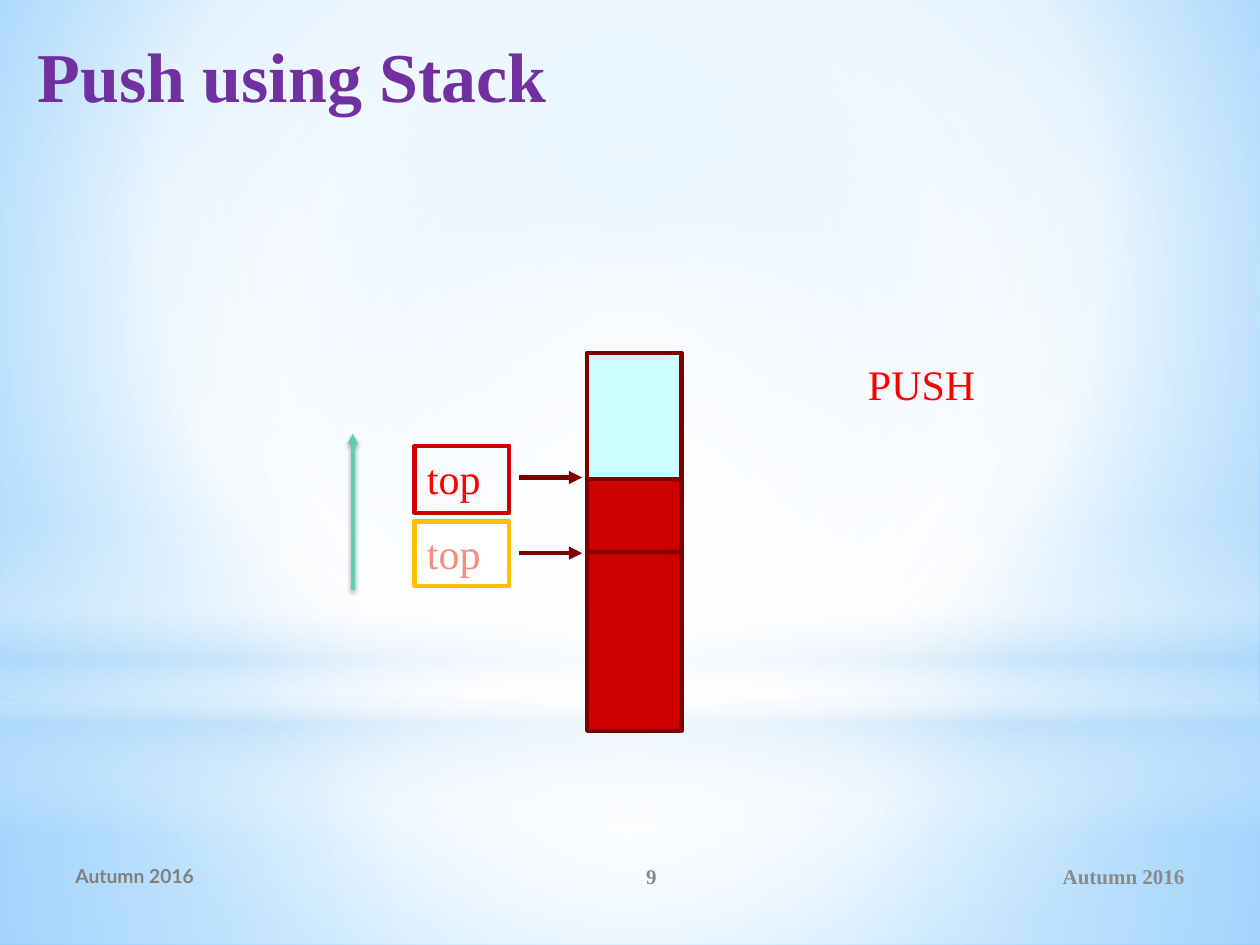
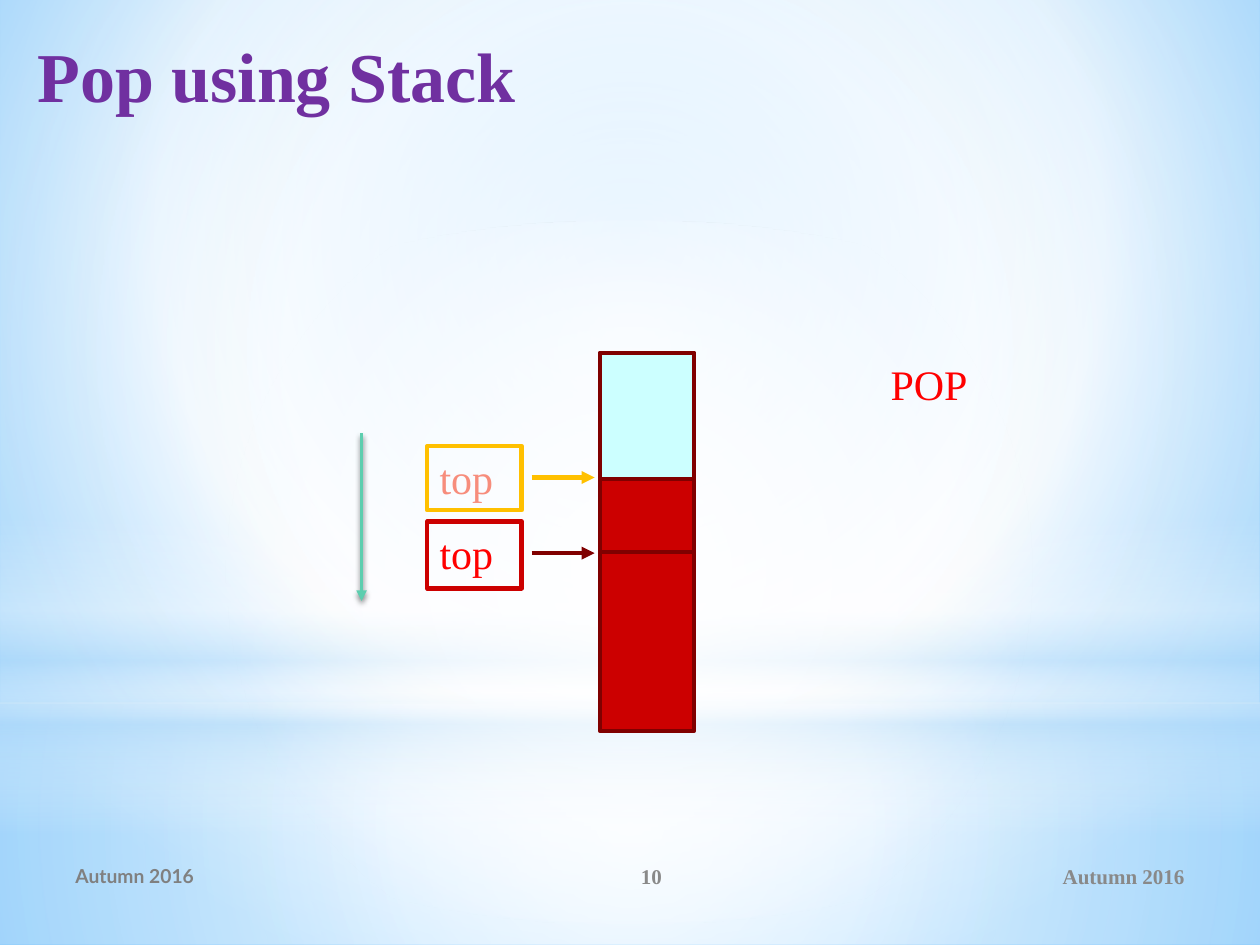
from dataclasses import dataclass

from lxml import etree
from pptx import Presentation
from pptx import util as u
from pptx.dml.color import RGBColor
from pptx.enum import shapes, text
from pptx.oxml.ns import qn

RECTANGLE = shapes.MSO_SHAPE.RECTANGLE
OVAL = shapes.MSO_SHAPE.OVAL
ALIGN = text.PP_ALIGN


@dataclass(frozen=True)
class Theme:
    serif: str = "Times New Roman"
    sans: str = "Lato"
    title: str = "7030A0"
    footer: str = "898989"
    date: str = "808080"
    active: str = "FF0000"
    faded: str = "F78D7C"
    filled: str = "CC0000"
    empty: str = "CCFFFF"
    edge: str = "800000"
    old_edge: str = "FFC000"
    direction: str = "5DCEAF"
    white: str = "FFFFFF"
    sky: str = "B4DCFA"
    title_size: int = 40
    label_size: int = 24
    footer_size: int = 12
    date_size: int = 11
    edge_width: float = 2.5
    direction_width: float = 2


THEME = Theme()
CENTRE = (50, 50, 50, 50)


@dataclass(frozen=True)
class Operation:
    """What differs between the push slide and the pop slide."""
    title: str
    label: str
    number: str
    label_box: tuple
    stack_left: float
    direction: tuple
    upper_is_current: bool


def add_xml(parent, tag, **attributes):
    return etree.SubElement(parent, qn(tag), {key: str(value) for key, value in attributes.items()})


def set_gradient(fill, properties, stops, focus=None, angle=None):
    """Fill with (position, colour, opacity) stops, round a focus or along an angle."""
    fill.solid()
    solid = properties.find(qn("a:solidFill"))
    gradient = etree.Element(qn("a:gradFill"), rotWithShape="1")
    stop_list = add_xml(gradient, "a:gsLst")
    for position, colour, opacity in stops:
        stop = add_xml(stop_list, "a:gs", pos=position * 1000)
        stop_colour = add_xml(stop, "a:srgbClr", val=colour)
        if opacity < 100:
            add_xml(stop_colour, "a:alpha", val=opacity * 1000)
    if focus:
        circle = add_xml(gradient, "a:path", path="circle")
        sides = {side: share * 1000 for side, share in zip("ltrb", focus)}
        add_xml(circle, "a:fillToRect", **sides)
    else:
        add_xml(gradient, "a:lin", ang=angle * 60000, scaled=0)
    properties.replace(solid, gradient)


def write(shape, words, size=THEME.label_size, font=THEME.serif, colour=THEME.active,
          bold=False, align=ALIGN.LEFT, anchor=text.MSO_ANCHOR.TOP, wrap=True):
    frame = shape.text_frame
    frame.word_wrap = wrap
    frame.vertical_anchor = anchor
    paragraph = frame.paragraphs[0]
    paragraph.alignment = align
    run = paragraph.add_run()
    run.text = words
    run.font.size = u.Pt(size)
    run.font.name = font
    run.font.bold = bold
    run.font.color.rgb = RGBColor.from_string(colour)


def add_text(slide, box, words, **format):
    write(slide.shapes.add_textbox(*map(u.Inches, box)), words, **format)


def add_box(slide, box, fill=None, line=None, kind=RECTANGLE):
    shape = slide.shapes.add_shape(kind, *map(u.Inches, box))
    shape.shadow.inherit = False
    if fill:
        shape.fill.solid()
        shape.fill.fore_color.rgb = RGBColor.from_string(fill)
    else:
        shape.fill.background()
    if line:
        shape.line.color.rgb = RGBColor.from_string(line)
        shape.line.width = u.Pt(THEME.edge_width)
    else:
        shape.line.fill.background()
    return shape


def add_arrow(slide, start, end, colour, width=THEME.edge_width, shadow=False):
    arrow = slide.shapes.add_connector(
        shapes.MSO_CONNECTOR.STRAIGHT, *map(u.Inches, (*start, *end)))
    arrow.line.color.rgb = RGBColor.from_string(colour)
    arrow.line.width = u.Pt(width)
    properties = arrow.element.spPr
    add_xml(properties.find(qn("a:ln")), "a:tailEnd", type="triangle")
    effects = add_xml(properties, "a:effectLst")
    if shadow:
        outer = add_xml(effects, "a:outerShdw", blurRad=u.Pt(3.1), dist=u.Pt(1.8),
                        dir=90 * 60000, rotWithShape=0)
        add_xml(add_xml(outer, "a:srgbClr", val="000000"), "a:alpha", val=45000)


def set_background(master):
    fill = master.background.fill
    fill.solid()
    set_gradient(fill, master.element.find(f".//{qn('p:bgPr')}"),
                 [(0, "9ED5FF", 100), (60, THEME.white, 100), (100, "5BB9FF", 100)],
                 focus=(20, 10, 20, 60))


def add_backdrop(slide, width=10, height=7.5):
    """Sky, floor, horizon band and the glow over them."""
    white, sky = THEME.white, THEME.sky
    horizon = 5.58
    layers = [
        (RECTANGLE, (0, horizon, width, height - horizon),
         [(0, white, 91), (37, white, 76), (100, sky, 79)], {"focus": CENTRE}),
        (RECTANGLE, (0, 0, width, horizon),
         [(0, white, 89), (48, white, 62), (100, sky, 79)], {"focus": CENTRE}),
        (RECTANGLE, (0, 4.12, width, 2.5),
         [(0, white, 0), (29, white, 30), (45, sky, 40), (55, white, 26),
          (65, sky, 60), (100, white, 0)], {"angle": 90}),
        (OVAL, (0, 1.75, width, horizon),
         [(0, white, 100), (56, white, 0)], {"focus": CENTRE}),
    ]
    for kind, box, stops, shading in layers:
        layer = add_box(slide, box, kind=kind)
        set_gradient(layer.fill, layer.element.spPr, stops, **shading)


def add_footer(slide, number, top=6.75, height=0.4):
    style = dict(size=THEME.footer_size, colour=THEME.footer, bold=True,
                 anchor=text.MSO_ANCHOR.MIDDLE)
    date_style = {**style, "size": THEME.date_size, "font": THEME.sans, "colour": THEME.date}
    add_text(slide, (6.75, top, 2.75, height), "Autumn 2016", align=ALIGN.RIGHT, **style)
    add_text(slide, (0.5, top, 3.67, height), "Autumn 2016", **date_style)
    add_text(slide, (4.17, top, 2, height), number, align=ALIGN.CENTER, **style)


def add_pointer(slide, left, top, current, fill=None, arrow_colour=THEME.edge):
    """A "top" label with an arrow to the stack; the current one is in full red."""
    label = add_box(slide, (left, top, 0.75, 0.53 if current else 0.51), fill,
                    THEME.filled if current else THEME.old_edge)
    write(label, "top", colour=THEME.active if current else THEME.faded)
    arrow_y = top + 0.25
    add_arrow(slide, (left + 0.83, arrow_y), (left + 1.33, arrow_y), arrow_colour)


def add_stack(slide, left, top, upper_is_current):
    """The stack, with pointers before and after the operation to its left."""
    width, empty_height, filled_height, moved_height = 0.75, 1.58, 1.42, 0.58
    middle = top + empty_height
    add_box(slide, (left, middle, width, filled_height), THEME.filled, THEME.edge)
    add_box(slide, (left, top, width, empty_height), THEME.empty, THEME.edge)
    pointer_left, upper_top, pointer_step = left - 1.37, top + 0.74, 0.6
    add_pointer(slide, pointer_left, upper_top + pointer_step, not upper_is_current,
                fill=THEME.white if upper_is_current else None)
    add_pointer(slide, pointer_left, upper_top, upper_is_current,
                arrow_colour=THEME.edge if upper_is_current else THEME.old_edge)
    add_box(slide, (left, middle - moved_height, width, moved_height),
            THEME.filled, THEME.edge)


def add_operation_slide(presentation, operation):
    slide = presentation.slides.add_slide(presentation.slide_layouts[6])
    add_backdrop(slide)
    add_footer(slide, operation.number)
    add_stack(slide, operation.stack_left, 2.8, operation.upper_is_current)
    add_text(slide, operation.label_box, operation.label, wrap=False)
    add_text(slide, (0.2, 0.21, 9.53, 1.25), operation.title,
             size=THEME.title_size, colour=THEME.title, bold=True)
    add_arrow(slide, *operation.direction, THEME.direction,
              width=THEME.direction_width, shadow=True)


def main():
    presentation = Presentation()
    presentation.slide_width = u.Inches(10)
    presentation.slide_height = u.Inches(7.5)
    set_background(presentation.slide_master)
    operations = [
        Operation("Push using Stack", "PUSH", "9", (6.79, 2.8, 1.09, 0.5), 4.66,
                  ((2.8, 4.68), (2.8, 3.44)), True),
        Operation("Pop using Stack", "POP", "10", (6.97, 2.8, 0.87, 0.5), 4.76,
                  ((2.87, 3.44), (2.87, 4.77)), False),
    ]
    for operation in operations:
        add_operation_slide(presentation, operation)
    presentation.save("out.pptx")


if __name__ == "__main__":
    main()
